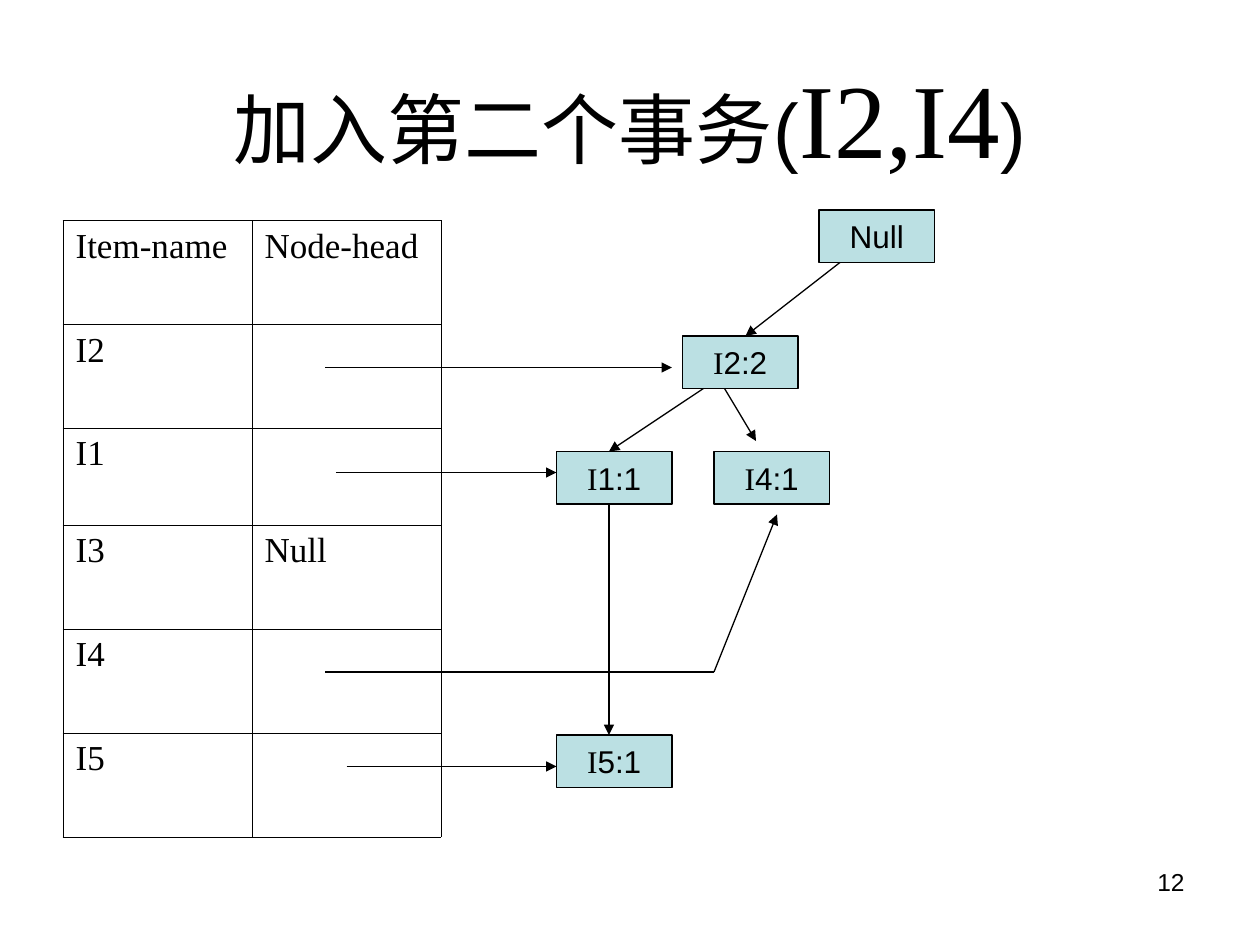
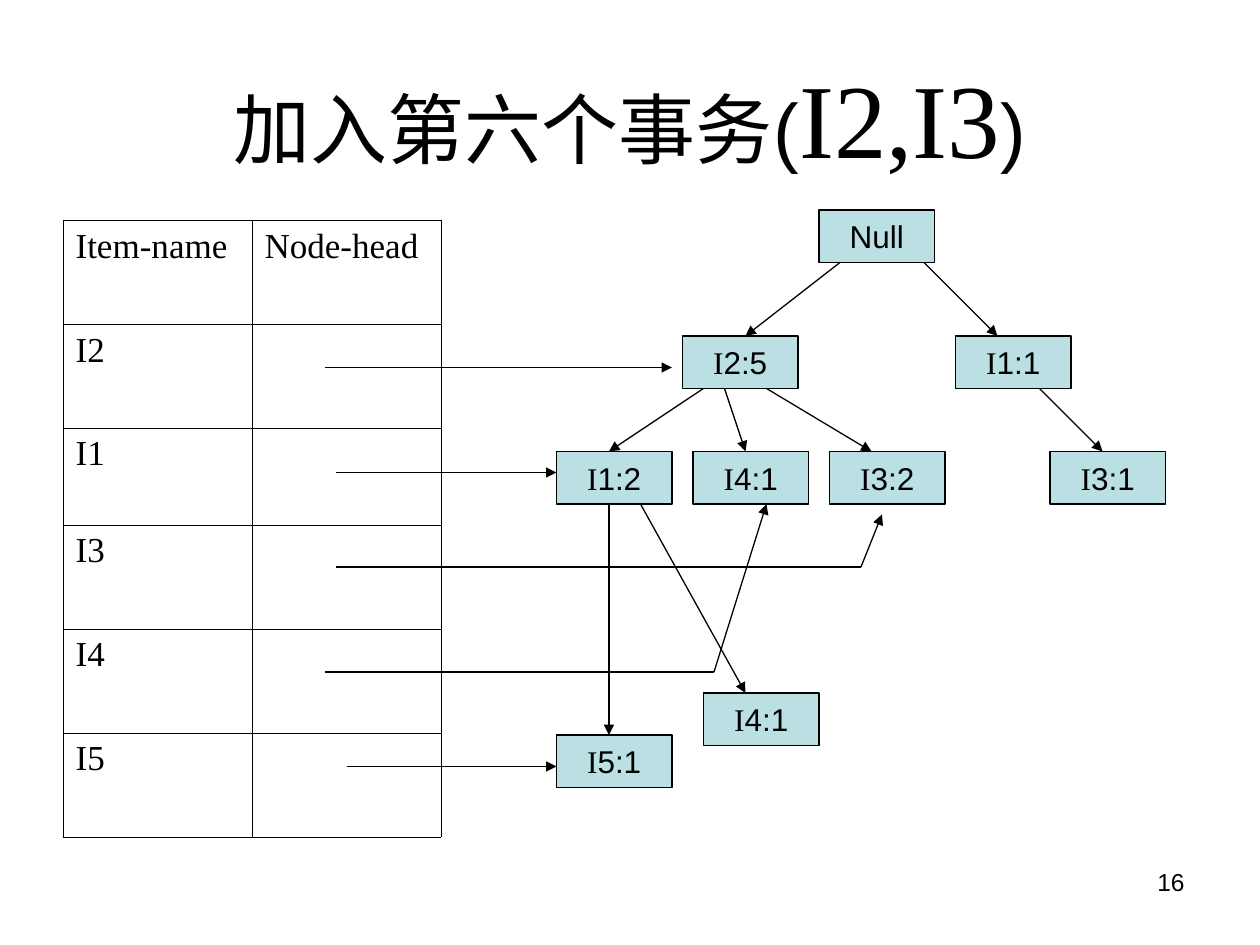
from dataclasses import dataclass
from itertools import pairwise

from lxml.etree import SubElement
from pptx import Presentation
from pptx.dml.color import RGBColor
from pptx.enum.shapes import MSO_CONNECTOR as Connector, MSO_SHAPE as Preset
from pptx.enum.text import MSO_ANCHOR as Anchor, PP_ALIGN as Align
from pptx.oxml.ns import qn
from pptx.util import Pt

BLACK, WHITE, AQUA = "000000", "FFFFFF", "BBE0E3"
SANS, SERIF = "Arial", "Times New Roman"
LINE_WIDTH, BORDER_WIDTH = 0.75, 0.45
NODE_WIDTH, NODE_HEIGHT = 66, 30
COLUMN_WIDTH, ROW_HEIGHT, SHORT_ROW_HEIGHT = 108, 59.4, 55.4
ROOT_TOP, CHILD_TOP, GRANDCHILD_TOP, LEAF_TOP = 120, 192, 258, 420
ITEMS = ("I2", "I1", "I3", "I4", "I5")


@dataclass(frozen=True)
class Span:
    """A run of text in one font and size."""
    text: str
    size: float
    font: str = SANS


@dataclass(frozen=True)
class Node:
    """A labelled box of the tree."""
    label: str
    left: float
    top: float


@dataclass(frozen=True)
class Arrow:
    """A path of straight lines with a head at its last point."""
    points: tuple[tuple[float, float], ...]


@dataclass(frozen=True)
class TreePage:
    """The state of the tree after one transaction."""
    title: str
    transaction: str
    number: str
    null_heads: tuple[str, ...]
    nodes: tuple[Node, ...]
    arrows: tuple[Arrow, ...]


SHARED_ARROWS = (
    Arrow(((480, 150), (426, 192))),
    Arrow(((402, 222), (348, 258))),
    Arrow(((348, 288), (348, 420))),
    Arrow(((186, 210), (384, 210))),
    Arrow(((192, 270), (318, 270))),
    Arrow(((198, 438), (318, 438))),
)

PAGES = (
    TreePage(
        "加入第二个事务(", "I2,I4", "12", ("I3",),
        (
            Node("I2:2", 390, CHILD_TOP),
            Node("I1:1", 318, GRANDCHILD_TOP),
            Node("I4:1", 408, GRANDCHILD_TOP),
        ),
        (
            Arrow(((414, 222), (432, 252))),
            Arrow(((186, 384), (408, 384), (444, 294))),
        ),
    ),
    TreePage(
        "加入第六个事务(", "I2,I3", "16", (),
        (
            Node("I2:5", 390, CHILD_TOP),
            Node("I1:1", 546, CHILD_TOP),
            Node("I1:2", 318, GRANDCHILD_TOP),
            Node("I4:1", 396, GRANDCHILD_TOP),
            Node("I3:2", 474, GRANDCHILD_TOP),
            Node("I3:1", 600, GRANDCHILD_TOP),
            Node("I4:1", 402, 396),
        ),
        (
            Arrow(((414, 222), (426, 258))),
            Arrow(((438, 222), (498, 258))),
            Arrow(((528, 150), (570, 192))),
            Arrow(((594, 222), (630, 258))),
            Arrow(((366, 288), (426, 396))),
            Arrow(((186, 384), (408, 384), (438, 288))),
            Arrow(((192, 324), (492, 324), (504, 294))),
        ),
    ),
)
SHARED_NODES = (Node("Null", 468, ROOT_TOP), Node("I5:1", 318, LEAF_TOP))


def color(value: str) -> RGBColor:
    """Turn a hex string into a colour."""
    return RGBColor.from_string(value)


def write(frame, spans: tuple[Span, ...], align=Align.LEFT, anchor=Anchor.TOP) -> None:
    """Fill the first paragraph of a text frame run by run."""
    frame.vertical_anchor = anchor
    para = frame.paragraphs[0]
    para.alignment = align
    for span in spans:
        run = para.add_run()
        run.text = span.text
        run.font.name = span.font
        run.font.size = Pt(span.size)
        run.font.color.rgb = color(BLACK)


def add_text(page, left: float, top: float, width: float, height: float,
             spans: tuple[Span, ...], align, anchor=Anchor.TOP) -> None:
    """Place a wrapping text box."""
    box = page.shapes.add_textbox(Pt(left), Pt(top), Pt(width), Pt(height))
    box.text_frame.word_wrap = True
    write(box.text_frame, spans, align, anchor)


def style_line(line) -> None:
    """Give a line the common colour and width."""
    line.color.rgb = color(BLACK)
    line.width = Pt(LINE_WIDTH)


def add_node(page, node: Node) -> None:
    """Draw a tree node, with the item letter in the serif font."""
    box = page.shapes.add_shape(
        Preset.RECTANGLE, Pt(node.left), Pt(node.top), Pt(NODE_WIDTH), Pt(NODE_HEIGHT))
    box.shadow.inherit = False
    box.fill.solid()
    box.fill.fore_color.rgb = color(AQUA)
    style_line(box.line)
    if node.label.startswith("I"):
        spans = (Span("I", 18, SERIF), Span(node.label[1:], 18))
    else:
        spans = (Span(node.label, 18),)
    box.text_frame.word_wrap = False
    write(box.text_frame, spans, Align.CENTER, Anchor.MIDDLE)


def add_arrow(page, arrow: Arrow) -> None:
    """Draw each segment of a path and put a head on the last one."""
    for start, end in pairwise(arrow.points):
        segment = page.shapes.add_connector(
            Connector.STRAIGHT, *(Pt(value) for value in start + end))
        style_line(segment.line)
        properties = segment._element.spPr
        if end == arrow.points[-1]:
            SubElement(properties.find(qn("a:ln")), qn("a:tailEnd"), type="triangle")
        SubElement(properties, qn("a:effectLst"))


def add_borders(cell) -> None:
    """Outline a cell on all four sides."""
    properties = cell._tc.get_or_add_tcPr()
    for position, side in enumerate(("a:lnL", "a:lnR", "a:lnT", "a:lnB")):
        line = SubElement(properties, qn(side), w=str(int(Pt(BORDER_WIDTH))))
        properties.insert(position, line)
        fill = SubElement(line, qn("a:solidFill"))
        SubElement(fill, qn("a:srgbClr"), val=BLACK)


def add_header_table(page, null_heads: tuple[str, ...]) -> None:
    """Draw the table of items and their node heads."""
    rows = [("Item-name", "Node-head")]
    rows += [(item, "Null" if item in null_heads else "") for item in ITEMS]
    heights = [SHORT_ROW_HEIGHT if name == "I1" else ROW_HEIGHT for name, _ in rows]
    table = page.shapes.add_table(
        len(rows), 2, Pt(36), Pt(126), Pt(2 * COLUMN_WIDTH), Pt(sum(heights))).table
    table.first_row = table.horz_banding = False
    for column in table.columns:
        column.width = Pt(COLUMN_WIDTH)
    for row, height, texts in zip(table.rows, heights, rows):
        row.height = Pt(height)
        for cell, text in zip(row.cells, texts):
            cell.fill.background()
            add_borders(cell)
            if text:
                write(cell.text_frame, (Span(text, 20, SERIF),))


def add_page(deck, content: TreePage) -> None:
    """Build one slide from its content."""
    page = deck.slides.add_slide(deck.slide_layouts[6])
    page.background.fill.solid()
    page.background.fill.fore_color.rgb = color(WHITE)
    title = (Span(content.title, 44), Span(content.transaction, 60, SERIF), Span(")", 44))
    add_text(page, 36, 21.6, 648, 90, title, Align.CENTER, Anchor.MIDDLE)
    add_header_table(page, content.null_heads)
    for node in SHARED_NODES + content.nodes:
        add_node(page, node)
    for arrow in SHARED_ARROWS + content.arrows:
        add_arrow(page, arrow)
    add_text(page, 516, 492, 168, 37.4, (Span(content.number, 14),), Align.RIGHT)


def main() -> None:
    """Build and save the deck."""
    deck = Presentation()
    deck.slide_width, deck.slide_height = Pt(720), Pt(540)
    for content in PAGES:
        add_page(deck, content)
    deck.save("out.pptx")


if __name__ == "__main__":
    main()
